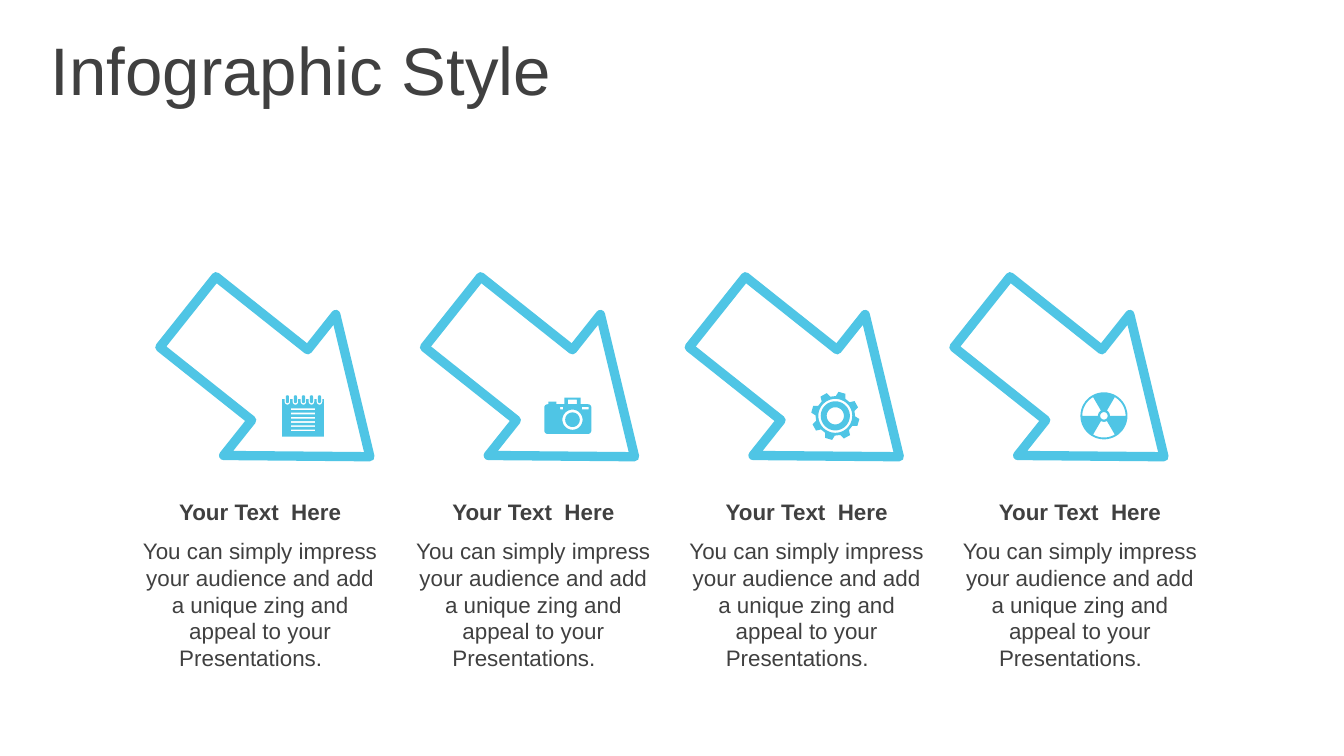
"""Build the Infographic Style slide with four arrows, icons and captions."""
from math import cos, radians, sin

from pptx import Presentation
from pptx.dml.color import RGBColor
from pptx.enum.shapes import MSO_SHAPE
from pptx.enum.text import MSO_ANCHOR, MSO_AUTO_SIZE, PP_ALIGN
from pptx.util import Pt

RIGHT_ARROW = MSO_SHAPE.RIGHT_ARROW
MIDDLE = MSO_ANCHOR.MIDDLE
LEFT, CENTER = PP_ALIGN.LEFT, PP_ALIGN.CENTER
FIT_SHAPE, NO_FIT = MSO_AUTO_SIZE.SHAPE_TO_FIT_TEXT, MSO_AUTO_SIZE.NONE
TITLE_ONLY = 5

COLORS = {"text": "404040", "accent": "4FC5E5", "paper": "FFFFFF"}
FONT = "Arial"
HEADING = "Your Text  Here"
BODY = ("You can simply impress your audience and add a unique zing "
        "and appeal to your Presentations.   ")


def color(name):
    return RGBColor.from_string(COLORS[name])


def write_text(frame, text, size=12, bold=False, align=CENTER, fit=FIT_SHAPE):
    frame.word_wrap = True
    frame.auto_size = fit
    frame.vertical_anchor = MIDDLE
    paragraph = frame.paragraphs[0]
    paragraph.text = text
    paragraph.alignment = align
    paragraph.space_before = Pt(0)
    font = paragraph.font
    font.name, font.size, font.bold = FONT, Pt(size), bold
    font.color.rgb = color("text")


def arc(x, y, radius, start=0, end=360, steps=48):
    angles = [radians(start + (end - start) * step / steps) for step in range(steps + 1)]
    return [(x + radius * cos(angle), y + radius * sin(angle)) for angle in angles]


def rectangle(left, top, width, height):
    right, bottom = left + width, top + height
    return [(left, top), (right, top), (right, bottom), (left, bottom)]


def notepad():
    rings = [0.2 + 4.3 * index for index in range(-2, 3)]
    page = [(-11.2, -9)]
    for x in rings:
        page += [(x - 1.5, -9), *arc(x, -7.5, 1.5, 180, 0, 12), (x + 1.5, -9)]
    page += [(11.2, -9), (11.2, 11.1), (-11.2, 11.1)]
    loops = [arc(x, -10.2, 0.85, 180, 360, 12) + arc(x, -7.7, 0.85, 0, 180, 12) for x in rings]
    lines = [rectangle(-6.5, -4 + 2.27 * row, 13, 0.9) for row in range(6)]
    return [page, *loops, *lines]


def camera():
    top, bottom, side, corner = -6.2, 9.7, 12.6, 1.8
    case = [
        *arc(-side + corner, top + corner, corner, 180, 270, 8),
        (-10.4, top), (-10.4, -7.6), (-6.1, -7.6), (-6.1, top),
        (-1.8, top), (-1.8, -9.8), (6.8, -9.8), (6.8, top),
        *arc(side - corner, top + corner, corner, 270, 360, 8),
        *arc(side - corner, bottom - corner, corner, 0, 90, 8),
        *arc(-side + corner, bottom - corner, corner, 90, 180, 8),
    ]
    lens = [arc(2.5, 2.1, radius) for radius in (5.4, 3.9)]
    windows = [rectangle(-4.1, -4.7, 1.6, 1.3), rectangle(7.6, -4.7, 3.6, 1.3),
               rectangle(0, -8.7, 4.9, 2.4)]
    return [case, *lens, *windows]


def gear():
    teeth = []
    for tooth in range(8):
        middle = 45 * tooth - 74
        for offset, radius in ((-14.5, 10.6), (-8.5, 13), (8.5, 13), (14.5, 10.6)):
            teeth += arc(0, 0, radius, middle + offset, steps=1, end=middle + offset)[:1]
    return [teeth, *(arc(0, 0, radius) for radius in (9.1, 7.8, 4.6))]


def radiation():
    wedges = [arc(0, 0, 3.2, start, start + 60, 12) + arc(0, 0, 11.6, start + 60, start, 24)
              for start in (60, 180, 300)]
    return [arc(0, 0, 12.6), *wedges, arc(0, 0, 2)]


class SlideBuilder:
    """Hold the style and the current slide."""

    def __init__(self, presentation):
        self.slide = presentation.slides.add_slide(presentation.slide_layouts[TITLE_ONLY])
        self.shapes = self.slide.shapes

    def title(self, text, left, top, width, height):
        title = self.shapes.title
        title.left, title.top, title.width, title.height = map(Pt, (left, top, width, height))
        write_text(title.text_frame, text, size=36, align=LEFT, fit=NO_FIT)

    def arrow(self, left, top, width, height):
        arrow = self.shapes.add_shape(RIGHT_ARROW, *map(Pt, (left, top, width, height)))
        arrow.rotation = 38.5
        arrow.adjustments[1] = 0.64
        arrow.shadow.inherit = False
        arrow.fill.solid()
        arrow.fill.fore_color.rgb = color("paper")
        arrow.line.color.rgb = color("accent")
        arrow.line.width = Pt(5)

    def text(self, text, left, top, width, height, **text_format):
        box = self.shapes.add_textbox(*map(Pt, (left, top, width, height)))
        write_text(box.text_frame, text, **text_format)

    def icon(self, outlines, x, y):
        contours = [[(Pt(x + dx), Pt(y + dy)) for dx, dy in outline] for outline in outlines]
        builder = self.shapes.build_freeform(*contours[0][0], scale=1.0)
        builder.add_line_segments(contours[0][1:], close=True)
        for contour in contours[1:]:
            builder.move_to(*contour[0])
            builder.add_line_segments(contour[1:], close=True)
        icon = builder.convert_to_shape()
        icon.shadow.inherit = False
        icon.fill.solid()
        icon.fill.fore_color.rgb = color("accent")
        icon.line.fill.background()


def main():
    presentation = Presentation()
    presentation.slide_width, presentation.slide_height = Pt(720), Pt(405)
    builder = SlideBuilder(presentation)
    builder.title("Infographic Style", 20, 14, 700, 45)
    icons = ((notepad, 162.4), (camera, 304.2), (gear, 447.5), (radiation, 591.4))
    for column, (outlines, icon_x) in enumerate(icons):
        builder.arrow(87.1 + 141.8 * column, 157.7, 124.6, 96.5)
        text_left = 67 + 146.4 * column
        builder.text(BODY, text_left, 283.7, 144.7, 80)
        builder.text(HEADING, text_left, 263.5, 144.7, 21.6, bold=True)
        builder.icon(outlines(), icon_x, 222.8)
    presentation.save("out.pptx")


if __name__ == "__main__":
    main()
